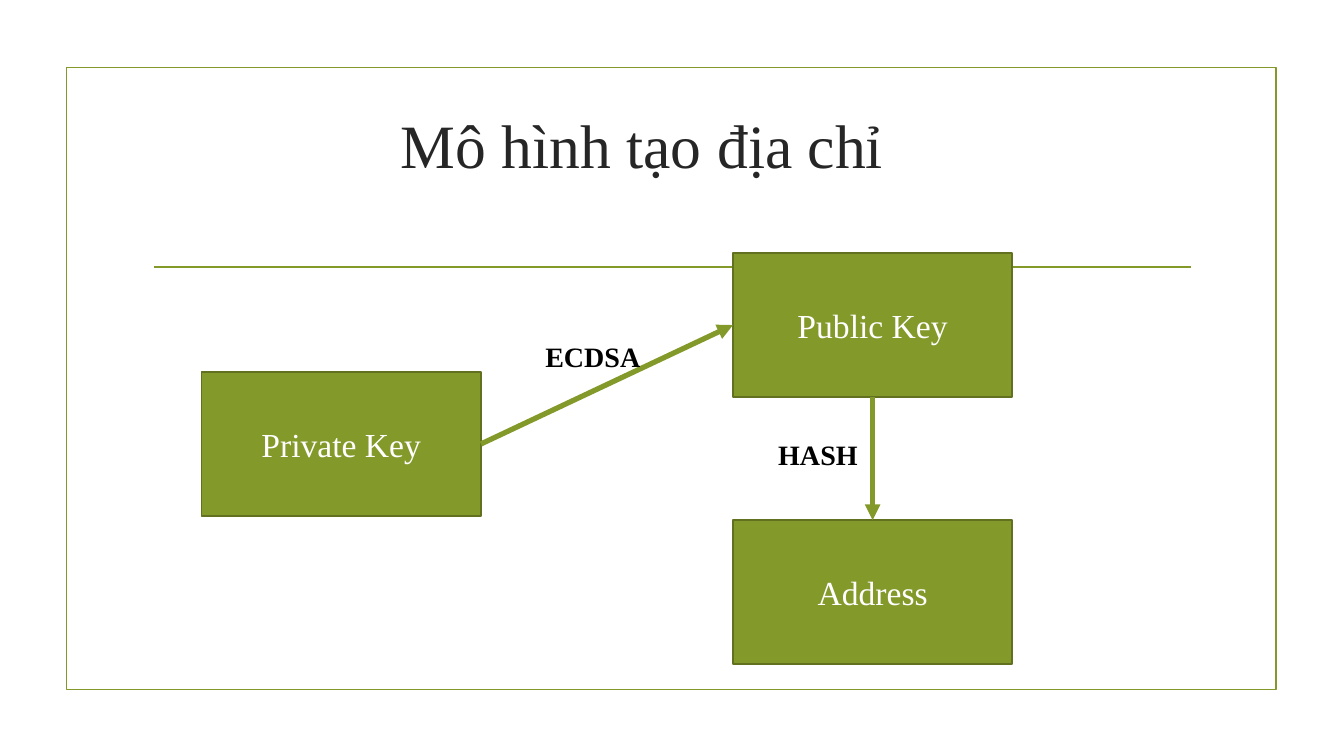
from dataclasses import dataclass

from lxml.etree import SubElement
from pptx import Presentation
from pptx.dml.color import RGBColor
from pptx.enum.shapes import MSO_CONNECTOR, MSO_SHAPE
from pptx.enum.text import MSO_ANCHOR, PP_ALIGN
from pptx.oxml.ns import qn
from pptx.util import Inches, Pt

TOP, LEFT, BOTTOM, RIGHT = range(4)
BOX_WIDTH, BOX_HEIGHT = 2.77, 1.43


@dataclass(frozen=True)
class Theme:
    font: str = "Times New Roman"
    green: RGBColor = RGBColor(0x83, 0x99, 0x2A)
    dark_green: RGBColor = RGBColor(0x61, 0x71, 0x1F)
    white: RGBColor = RGBColor(0xFF, 0xFF, 0xFF)
    black: RGBColor = RGBColor(0, 0, 0)
    title_gray: RGBColor = RGBColor(0x26, 0x26, 0x26)
    title_size: Pt = Pt(44)
    box_size: Pt = Pt(24)
    label_size: Pt = Pt(20)
    thin: Pt = Pt(1.25)
    thick: Pt = Pt(3.75)


THEME = Theme()


def write(frame, text, size, color, bold=False, align=PP_ALIGN.LEFT,
          anchor=MSO_ANCHOR.TOP):
    frame.word_wrap = True
    frame.vertical_anchor = anchor
    paragraph = frame.paragraphs[0]
    paragraph.alignment = align
    run = paragraph.add_run()
    run.text = text
    run.font.name = THEME.font
    run.font.size = size
    run.font.bold = bold
    run.font.color.rgb = color


def add_rectangle(slide, left, top, width, height, line_color):
    rectangle = slide.shapes.add_shape(
        MSO_SHAPE.RECTANGLE, Inches(left), Inches(top), Inches(width), Inches(height))
    rectangle.shadow.inherit = False
    rectangle.fill.background()
    rectangle.line.color.rgb = line_color
    rectangle.line.width = THEME.thin
    return rectangle


def add_box(slide, text, left, top):
    box = add_rectangle(slide, left, top, BOX_WIDTH, BOX_HEIGHT, THEME.dark_green)
    box.fill.solid()
    box.fill.fore_color.rgb = THEME.green
    write(box.text_frame, text, THEME.box_size, THEME.white,
          align=PP_ALIGN.CENTER, anchor=MSO_ANCHOR.MIDDLE)
    return box


def add_line(slide, start, end, width):
    line = slide.shapes.add_connector(
        MSO_CONNECTOR.STRAIGHT, *(Inches(value) for value in (*start, *end)))
    line.line.color.rgb = THEME.green
    line.line.width = width
    SubElement(line._element.spPr, qn("a:effectLst"))
    return line


def add_arrow(slide, source, source_side, target, target_side):
    """Join the given sides of two boxes with an arrow."""
    arrow = add_line(slide, (0, 0), (0, 0), THEME.thick)
    arrow.begin_connect(source, source_side)
    arrow.end_connect(target, target_side)
    SubElement(arrow.line._get_or_add_ln(), qn("a:tailEnd"), type="triangle")


def add_text(slide, left, top, width, height, text, size, color, **style):
    box = slide.shapes.add_textbox(
        Inches(left), Inches(top), Inches(width), Inches(height))
    write(box.text_frame, text, size, color, **style)


def add_label(slide, text, left, top):
    add_text(slide, left, top, 2.71, 0.44, text,
             THEME.label_size, THEME.black, bold=True)


def main():
    presentation = Presentation()
    presentation.slide_width = Inches(13.33)
    presentation.slide_height = Inches(7.5)
    slide = presentation.slides.add_slide(presentation.slide_layouts[6])

    add_rectangle(slide, 0.66, 0.67, 12, 6.17, THEME.green)
    add_line(slide, (1.53, 2.65), (11.81, 2.65), THEME.thin)

    address = add_box(slide, "Address", 7.27, 5.16)
    private_key = add_box(slide, "Private Key", 2, 3.69)
    public_key = add_box(slide, "Public Key", 7.27, 2.51)
    add_arrow(slide, private_key, RIGHT, public_key, LEFT)
    add_arrow(slide, public_key, BOTTOM, address, TOP)
    add_label(slide, "ECDSA", 5.31, 3.32)
    add_label(slide, "HASH", 7.62, 4.29)

    add_text(slide, 2.4, 0.78, 7.94, 1.29, "Mô hình tạo địa chỉ",
             THEME.title_size, THEME.title_gray,
             align=PP_ALIGN.CENTER, anchor=MSO_ANCHOR.MIDDLE)

    presentation.save("out.pptx")


if __name__ == "__main__":
    main()
